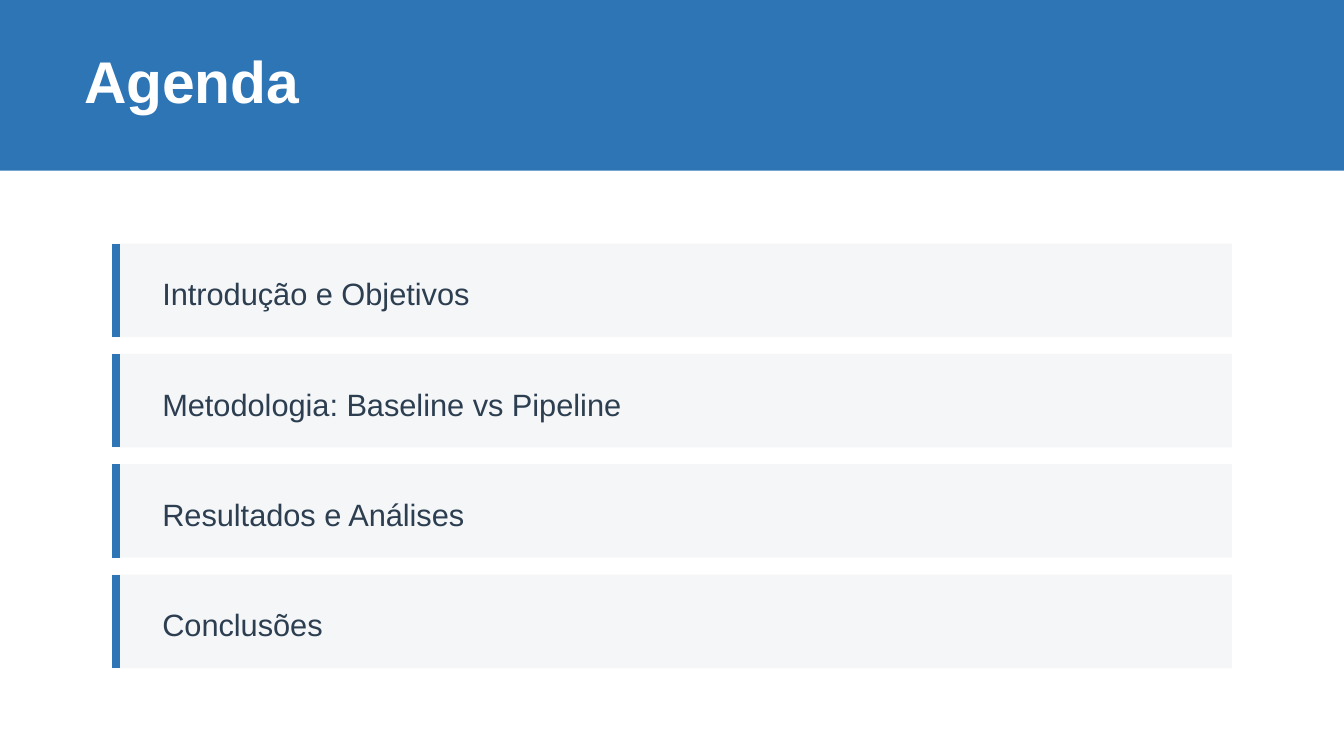
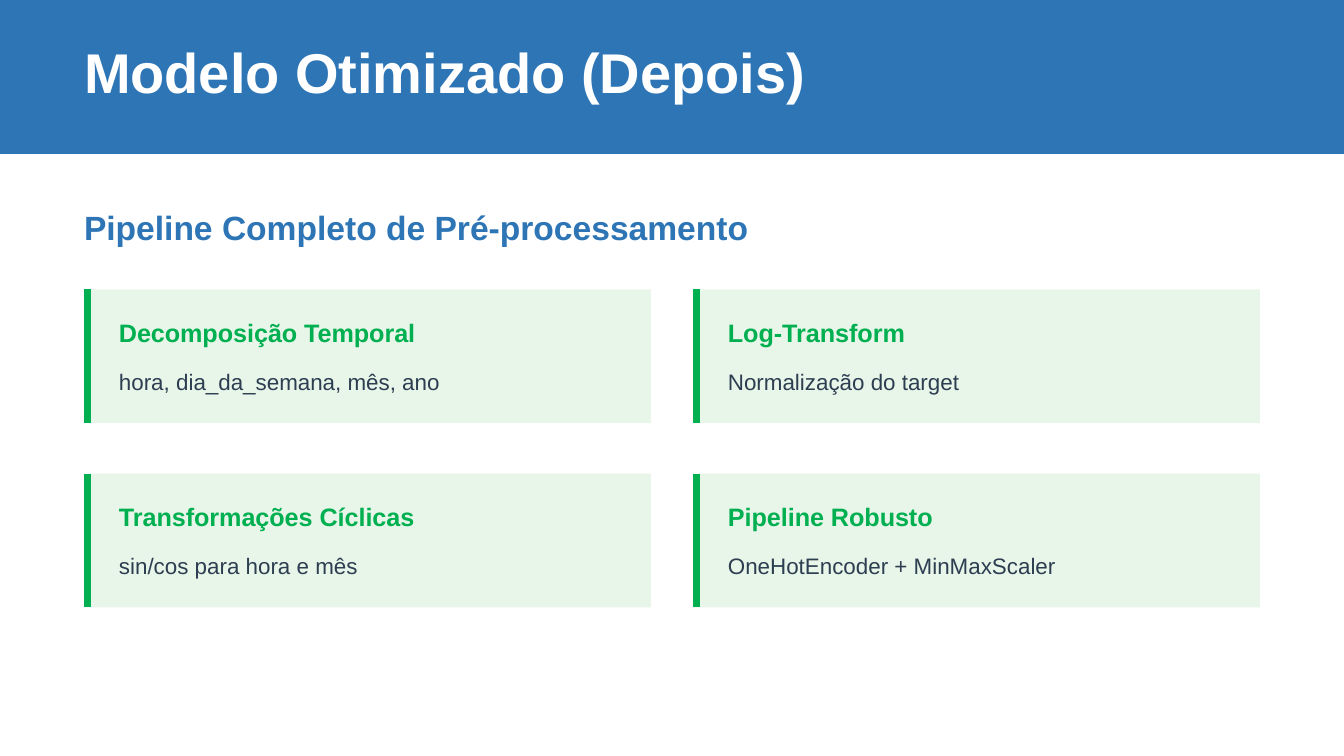
from dataclasses import dataclass

from lxml import etree
from pptx import Presentation
from pptx.dml.color import RGBColor
from pptx.enum.shapes import MSO_CONNECTOR, MSO_SHAPE
from pptx.oxml.ns import qn
from pptx.slide import Slide
from pptx.util import Pt

RECTANGLE = MSO_SHAPE.RECTANGLE
STRAIGHT = MSO_CONNECTOR.STRAIGHT

# Shared look; all lengths are in points
BLUE = RGBColor(0x2E, 0x75, 0xB6)
GREEN = RGBColor(0x00, 0xB0, 0x50)
PALE_GREEN = RGBColor(0xE8, 0xF5, 0xE9)
PALE_GRAY = RGBColor(0xF4, 0xF6, 0xF8)
INK = RGBColor(0x2C, 0x3E, 0x50)
WHITE = RGBColor(0xFF, 0xFF, 0xFF)
FONT = "Arial"
SLIDE_WIDTH, SLIDE_HEIGHT = 720, 405
MARGIN = 45


@dataclass(frozen=True)
class TextStyle:
    size: float
    leading: float
    color: RGBColor
    bold: bool = False
    space_after: float = 0


@dataclass(frozen=True)
class Panel:
    width: float
    height: float
    fill: RGBColor
    accent: RGBColor
    accent_width: float


@dataclass(frozen=True)
class Step:
    heading: str
    detail: str


AGENDA_TITLE = TextStyle(31.5, 31.5, WHITE, bold=True)
MODEL_TITLE = TextStyle(30, 30, WHITE, bold=True)
SUBTITLE = TextStyle(18, 20, BLUE, bold=True, space_after=15)
TOPIC = TextStyle(16.5, 23.1, INK)
STEP_HEADING = TextStyle(13.5, 16.2, GREEN, bold=True, space_after=7.5)
STEP_DETAIL = TextStyle(12, 18, INK)

TOPIC_PANEL = Panel(600, 50.1, PALE_GRAY, BLUE, 4.5)
STEP_PANEL = Panel(303.75, 71.7, PALE_GREEN, GREEN, 3.75)

TOPICS = [
    "Introdução e Objetivos",
    "Metodologia: Baseline vs Pipeline",
    "Resultados e Análises",
    "Conclusões",
]
STEP_COLUMNS = [
    [
        Step("Decomposição Temporal", "hora, dia_da_semana, mês, ano"),
        Step("Transformações Cíclicas", "sin/cos para hora e mês"),
    ],
    [
        Step("Log-Transform", "Normalização do target"),
        Step("Pipeline Robusto", "OneHotEncoder + MinMaxScaler"),
    ],
]


def add_text(slide: Slide, text: str, left: float, top: float, width: float,
             style: TextStyle) -> None:
    """Place one line of text in a box without insets."""
    box = slide.shapes.add_textbox(Pt(left), Pt(top), Pt(width), Pt(style.leading))
    frame = box.text_frame
    frame.word_wrap = True
    frame.margin_left = frame.margin_right = Pt(0)
    frame.margin_top = frame.margin_bottom = Pt(0)
    paragraph = frame.paragraphs[0]
    paragraph.text = text
    paragraph.line_spacing = Pt(style.leading)
    paragraph.space_after = Pt(style.space_after)
    paragraph.font.name = FONT
    paragraph.font.size = Pt(style.size)
    paragraph.font.bold = style.bold
    paragraph.font.color.rgb = style.color


def add_block(slide: Slide, left: float, top: float, width: float, height: float,
              fill: RGBColor) -> None:
    """Draw a flat rectangle without outline."""
    block = slide.shapes.add_shape(RECTANGLE, Pt(left), Pt(top), Pt(width), Pt(height))
    block.shadow.inherit = False
    block.fill.solid()
    block.fill.fore_color.rgb = fill
    block.line.fill.background()


def add_panel(slide: Slide, left: float, top: float, panel: Panel) -> None:
    """Draw a tinted panel with an accent line inside its left edge."""
    add_block(slide, left, top, panel.width, panel.height, panel.fill)
    x = Pt(left + panel.accent_width / 2)
    accent = slide.shapes.add_connector(STRAIGHT, x, Pt(top), x, Pt(top + panel.height))
    accent.line.color.rgb = panel.accent
    accent.line.width = Pt(panel.accent_width)
    etree.SubElement(accent._element.spPr, qn("a:effectLst"))


def add_title_band(slide: Slide, title: str, band_height: float, top: float,
                   width: float, style: TextStyle) -> None:
    add_block(slide, 0, 0, SLIDE_WIDTH, band_height, BLUE)
    add_text(slide, title, MARGIN, top, width, style)


def build_agenda(slide: Slide) -> None:
    add_title_band(slide, "Agenda", 91.5, 30, 322, AGENDA_TITLE)
    left, first_top, gap = 60, 130.5, 9
    for row, topic in enumerate(TOPICS):
        top = first_top + row * (TOPIC_PANEL.height + gap)
        add_panel(slide, left, top, TOPIC_PANEL)
        add_text(slide, topic, left + 27, top + 13.5, 561.6, TOPIC)


def build_model(slide: Slide) -> None:
    add_title_band(slide, "Modelo Otimizado (Depois)", 82.5, 26.25, 394.5, MODEL_TITLE)
    add_text(slide, "Pipeline Completo de Pré-processamento", MARGIN, 112.5, 363.6,
             SUBTITLE)
    # Grid of preprocessing steps
    first_top, column_gap, row_gap = 155, 22.5, 27
    inset, text_width = 18.75, 275.75
    for column, steps in enumerate(STEP_COLUMNS):
        left = MARGIN + column * (STEP_PANEL.width + column_gap)
        for row, step in enumerate(steps):
            top = first_top + row * (STEP_PANEL.height + row_gap)
            add_panel(slide, left, top, STEP_PANEL)
            add_text(slide, step.heading, left + inset, top + 15, text_width,
                     STEP_HEADING)
            add_text(slide, step.detail, left + inset, top + 38.7, text_width,
                     STEP_DETAIL)


def main() -> None:
    deck = Presentation()
    deck.slide_width, deck.slide_height = Pt(SLIDE_WIDTH), Pt(SLIDE_HEIGHT)
    blank = deck.slide_layouts[6]
    for build in (build_agenda, build_model):
        build(deck.slides.add_slide(blank))
    deck.save("out.pptx")


if __name__ == "__main__":
    main()
